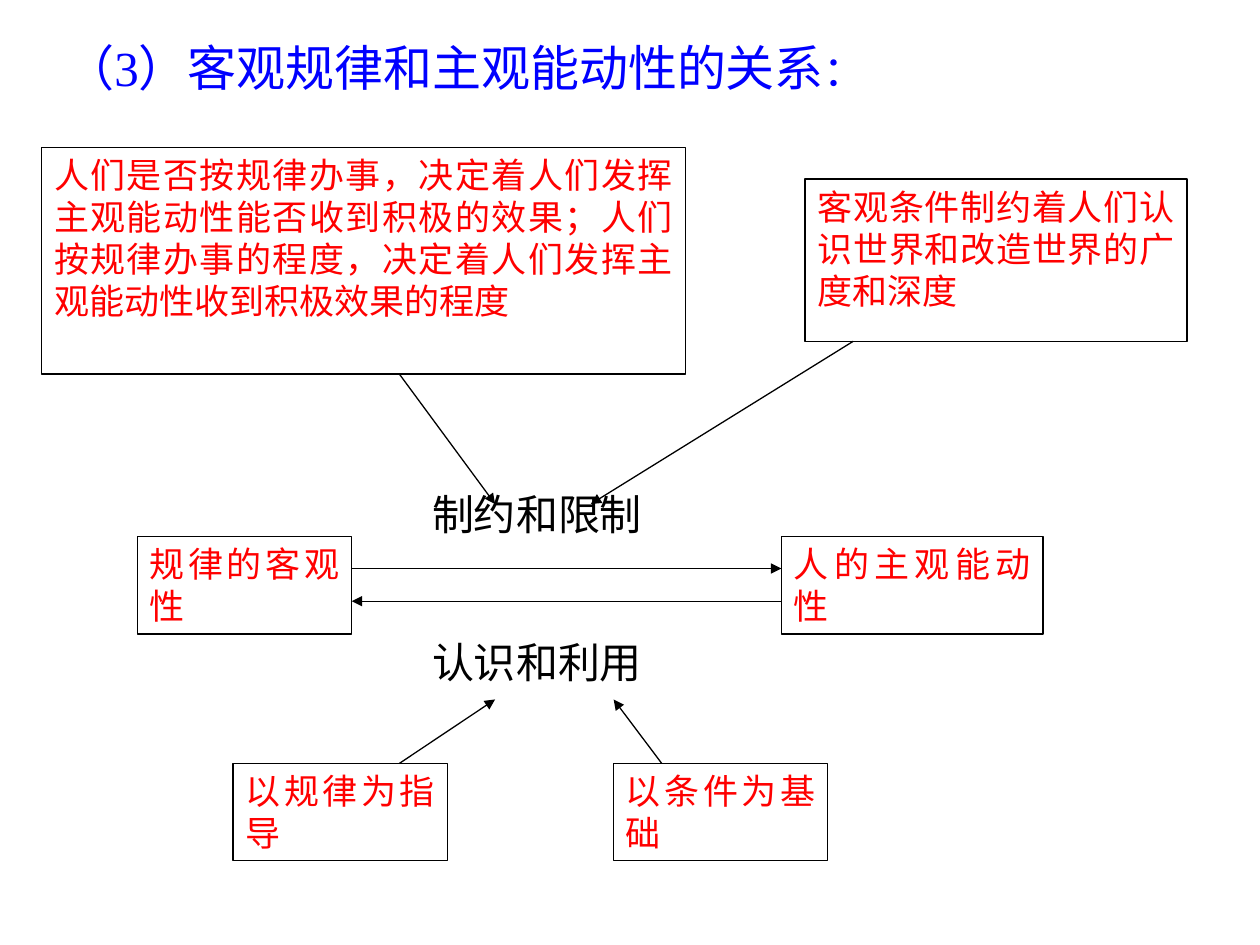
import pptx
import pptx.dml.color
import pptx.enum.shapes
import pptx.enum.text
import pptx.oxml.ns
import pptx.util
from lxml import etree
from pptx.util import Cm

FONT = "Times New Roman"
RED, BLUE, BLACK, WHITE = "FF0000", "0000FF", "000000", "FFFFFF"


def rgb(value):
    return pptx.dml.color.RGBColor.from_string(value)


def add_run(p, text, size=20, color=BLACK):
    r = p.add_run()
    r.text = text
    r.font.name = FONT
    r.font.size = pptx.util.Pt(size)
    r.font.color.rgb = rgb(color)


class Diagram:
    def __init__(self, slide, line_width=0.75):
        self.s = slide
        self.line_width = pptx.util.Pt(line_width)

    def style_line(self, line):
        line.color.rgb = rgb(BLACK)
        line.width = self.line_width

    def box(self, x, y, w, h, text):
        sp = self.s.shapes.add_shape(
            pptx.enum.shapes.MSO_SHAPE.RECTANGLE, Cm(x), Cm(y), Cm(w), Cm(h))
        sp.shadow.inherit = False
        sp.fill.solid()
        sp.fill.fore_color.rgb = rgb(WHITE)
        self.style_line(sp.line)
        tf = sp.text_frame
        tf.word_wrap = True
        tf.vertical_anchor = pptx.enum.text.MSO_ANCHOR.TOP
        p = tf.paragraphs[0]
        p.alignment = pptx.enum.text.PP_ALIGN.JUSTIFY
        add_run(p, text, color=RED)

    def label(self, x, y, w, h, text, **fmt):
        tf = self.s.shapes.add_textbox(Cm(x), Cm(y), Cm(w), Cm(h)).text_frame
        tf.word_wrap = True
        p = tf.paragraphs[0]
        add_run(p, text, **fmt)
        return p

    def arrow(self, x1, y1, x2, y2):
        c = self.s.shapes.add_connector(
            pptx.enum.shapes.MSO_CONNECTOR.STRAIGHT, Cm(x1), Cm(y1), Cm(x2), Cm(y2))
        self.style_line(c.line)
        qn = pptx.oxml.ns.qn
        etree.SubElement(c.line._get_or_add_ln(), qn("a:tailEnd"), type="triangle")
        etree.SubElement(c._element.spPr, qn("a:effectLst"))


def main():
    prs = pptx.Presentation()
    prs.slide_width, prs.slide_height = Cm(25.4), Cm(19.05)
    d = Diagram(prs.slides.add_slide(prs.slide_layouts[6]))

    middle, bottom, small_w, small_h = 10.82, 15.39, 4.32, 1.96
    boxes = [
        (0.84, 2.97, 12.98, 4.57,
         "人们是否按规律办事，决定着人们发挥主观能动性能否收到积极的效果；"
         "人们按规律办事的程度，决定着人们发挥主观能动性收到积极效果的程度"),
        (16.23, 3.61, 7.7, 3.28, "客观条件制约着人们认识世界和改造世界的广度和深度"),
        (2.77, middle, small_w, small_h, "规律的客观性"),
        (15.75, middle, 5.28, small_h, "人的主观能动性"),
        (4.7, bottom, small_w, small_h, "以规律为指导"),
        (12.37, bottom, small_w, small_h, "以条件为基础"),
    ]
    for box in boxes:
        d.box(*box)

    arrows = [
        (7.09, 11.46, 15.75, 11.46),
        (15.75, 12.12, 7.09, 12.12),
        (8.05, 7.54, 9.98, 10.16),
        (17.2, 6.88, 11.91, 10.16),
        (13.34, bottom, 12.37, 14.1),
        (8.05, bottom, 9.98, 14.1),
    ]
    for arrow in arrows:
        d.arrow(*arrow)

    d.label(8.46, 9.73, 5.08, 1.27, "制约和限制", size=24)
    d.label(8.46, 12.7, 4.88, 1.27, "认识和利用", size=24)
    p = d.label(1.07, 0.64, 18.62, 1.45, "（3）客观规律和主观能动性的关系",
                size=28, color=BLUE)
    add_run(p, "：", size=24, color=BLUE)

    prs.save("out.pptx")


if __name__ == "__main__":
    main()
